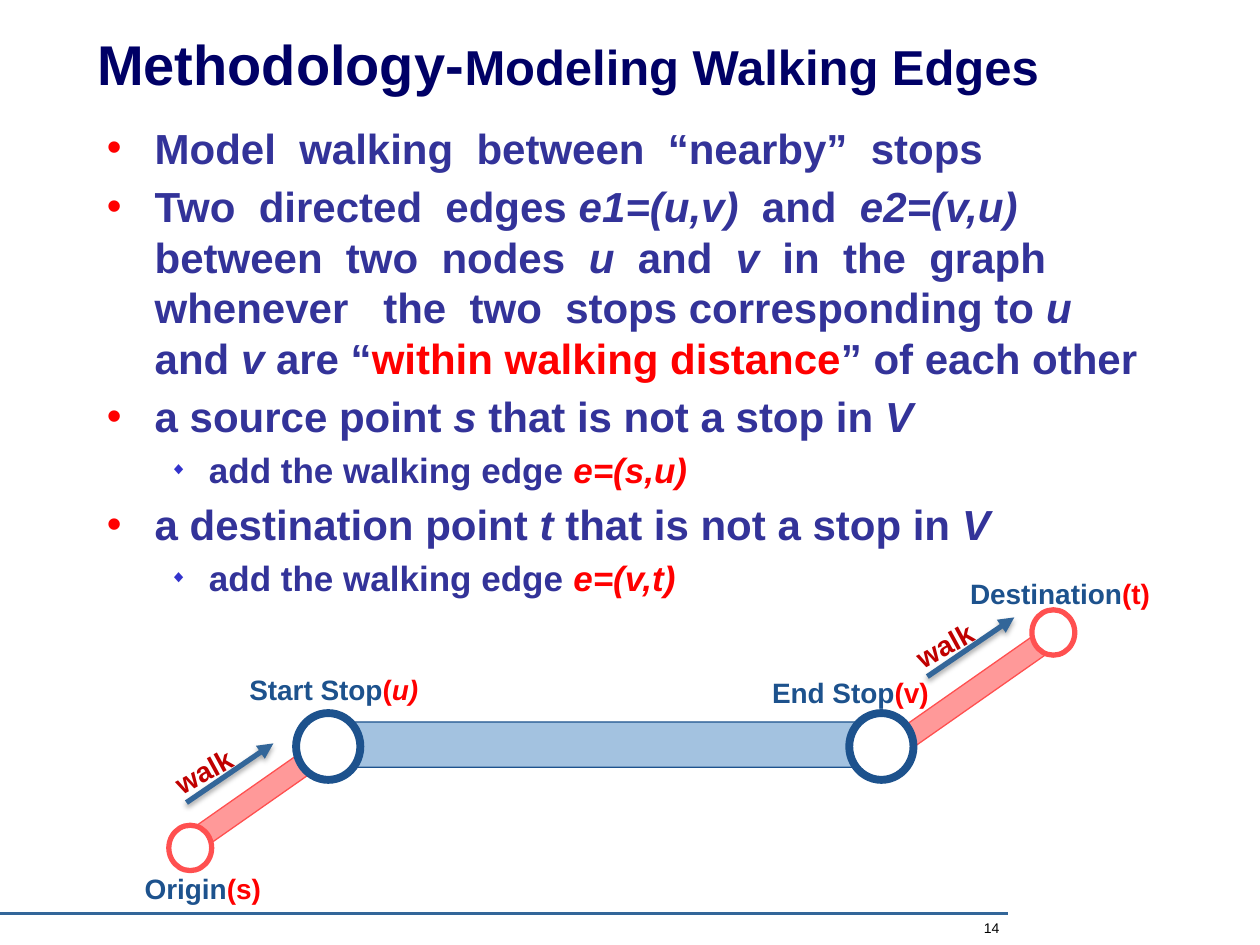
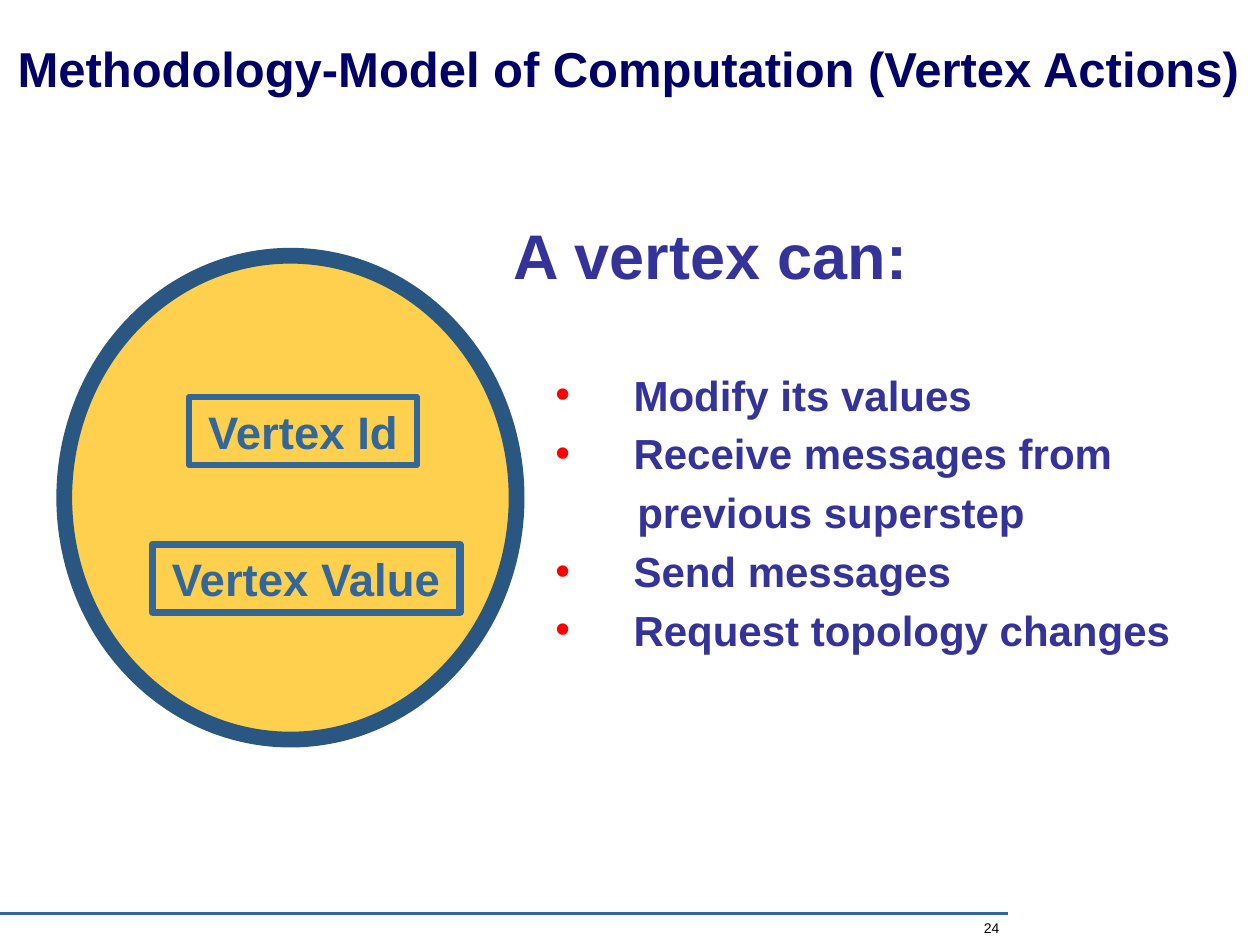
from lxml import etree
from pptx import Presentation
from pptx.dml.color import RGBColor
from pptx.enum.shapes import MSO_CONNECTOR, MSO_SHAPE
from pptx.enum.text import MSO_ANCHOR, MSO_AUTO_SIZE, PP_ALIGN
from pptx.oxml.ns import qn
from pptx.util import Pt

PX = 9144  # 100 px to the inch
FONT = "Arial"
TITLE_ONLY = 5
LEFT, CENTER = PP_ALIGN.LEFT, PP_ALIGN.CENTER
MIDDLE, TOP = MSO_ANCHOR.MIDDLE, MSO_ANCHOR.TOP
ELLIPSE, RECTANGLE = MSO_SHAPE.OVAL, MSO_SHAPE.RECTANGLE
ROUNDED = MSO_SHAPE.ROUNDED_RECTANGLE
STRAIGHT = MSO_CONNECTOR.STRAIGHT

COLORS = {
    "title": "000066", "body": "333399", "red": "FF0000", "diamond": "3333CC",
    "rule": "336699", "number": "000000", "white": "FFFFFF",
    "stop": "1D528D", "ride": "A3C2E0", "walk_fill": "FF9999",
    "walk_line": "FF5050", "walk_text": "C00000",
    "vertex_fill": "FFD04D", "vertex_line": "2A5682",
}
# Per level: left indent, bullet sign, bullet colour, bullet size in percent, text size
WALKING_LEVELS = [(38, 38, "•", "red", 100, 24), (81, 31, "◆", "diamond", 50, 20)]
ACTION_LEVELS = [(62, 62, "•", "red", 100, 24), (65, 0, None, None, 100, 24)]

# Runs are (text, marks): i is italic, r is red
WALKING_POINTS = [
    (0, [("Model  walking  between  “nearby”  stops", "")]),
    (0, [("Two  directed  edges ", ""), ("e1=(u,v)  ", "i"), ("and  ", ""),
         ("e2=(v,u)  ", "i"), ("between  two  nodes  ", ""), ("u  ", "i"),
         ("and  ", ""), ("v  ", "i"),
         ("in  the  graph  whenever   the  two  stops corresponding to ", ""),
         ("u ", "i"), ("and ", ""), ("v ", "i"), ("are “", ""),
         ("within walking distance", "r"), ("” of each other", "")]),
    (0, [("a source point ", ""), ("s ", "i"), ("that is not a stop in ", ""), ("V", "i")]),
    (1, [("add the walking edge ", ""), ("e=(s,u)", "ir")]),
    (0, [("a destination point ", ""), ("t ", "i"), ("that is not a stop in ", ""), ("V", "i")]),
    (1, [("add the walking edge ", ""), ("e=(v,t)", "ir")]),
]
VERTEX_ACTIONS = [
    (0, [("Modify its values", "")]),
    (0, [("Receive messages from", "")]),
    (1, [("previous superstep", "")]),
    (0, [("Send messages", "")]),
    (0, [("Request topology changes", "")]),
]


def rgb(name):
    return RGBColor.from_string(COLORS[name])


def emu(box):
    return [round(length * PX) for length in box]


def add_run(paragraph, text, size, color, bold=True, italic=False):
    run = paragraph.add_run()
    run.text = text
    font = run.font
    font.name, font.size, font.bold, font.italic = FONT, Pt(size), bold, italic
    font.color.rgb = rgb(color)


def add_marked_runs(paragraph, runs, size, color):
    for text, marks in runs:
        add_run(paragraph, text, size, "red" if "r" in marks else color, italic="i" in marks)


def add_text_box(slide, box):
    shape = slide.shapes.add_textbox(*emu(box))
    shape.text_frame.word_wrap = True
    return shape


def add_label(slide, box, runs, size=16, color="stop", rotation=0):
    shape = add_text_box(slide, box)
    shape.rotation = rotation
    add_marked_runs(shape.text_frame.paragraphs[0], runs, size, color)


def add_outlined(slide, kind, box, fill, line, width):
    shape = slide.shapes.add_shape(kind, *emu(box))
    shape.shadow.inherit = False
    if fill:
        shape.fill.solid()
        shape.fill.fore_color.rgb = rgb(fill)
    else:
        shape.fill.background()
    shape.line.color.rgb = rgb(line)
    shape.line.width = Pt(width)
    return shape


def add_bar(slide, box, fill, line, rotation=0):
    bar = add_outlined(slide, ROUNDED, box, fill, line, 0.75)
    bar.adjustments[0] = 0.5
    bar.rotation = rotation


def add_line(slide, ends, width):
    """Draw a straight line and return it with its empty effect list."""
    line = slide.shapes.add_connector(STRAIGHT, *emu(ends))
    line.line.color.rgb = rgb("rule")
    line.line.width = Pt(width)
    effects = etree.SubElement(line._element.spPr, qn("a:effectLst"))
    return line, effects


def add_arrow(slide, ends):
    arrow, effects = add_line(slide, ends, 3)
    etree.SubElement(arrow.line._get_or_add_ln(), qn("a:tailEnd"), type="triangle")
    shadow = etree.SubElement(effects, qn("a:outerShdw"), blurRad=str(Pt(3.1)),
                              dist=str(Pt(1.8)), dir="5400000", rotWithShape="0")
    black = etree.SubElement(shadow, qn("a:srgbClr"), val="000000")
    etree.SubElement(black, qn("a:alpha"), val="35000")


def set_bullet(paragraph, indent, hang, sign, color, percent):
    properties = paragraph._p.get_or_add_pPr()
    properties.set("marL", str(indent * PX))
    properties.set("indent", str(-hang * PX))
    if sign is None:
        etree.SubElement(properties, qn("a:buNone"))
        return
    bullet_color = etree.SubElement(properties, qn("a:buClr"))
    etree.SubElement(bullet_color, qn("a:srgbClr"), val=COLORS[color])
    etree.SubElement(properties, qn("a:buSzPct"), val=str(percent * 1000))
    etree.SubElement(properties, qn("a:buFont"), typeface=FONT)
    etree.SubElement(properties, qn("a:buChar"), char=sign)


def add_list(slide, box, points, levels):
    frame = add_text_box(slide, box).text_frame
    for index, (level, runs) in enumerate(points):
        paragraph = frame.add_paragraph() if index else frame.paragraphs[0]
        *bullet, size = levels[level]
        set_bullet(paragraph, *bullet)
        paragraph.space_before = Pt(0.2 * size if index else 0)
        add_marked_runs(paragraph, runs, size, "body")


def add_base_slide(presentation, title_box, title_runs, number):
    """Start a slide with its title, bottom rule and slide number."""
    slide = presentation.slides.add_slide(presentation.slide_layouts[TITLE_ONLY])
    title = slide.shapes.title
    title.left, title.top, title.width, title.height = emu(title_box)
    frame = title.text_frame
    frame.auto_size = MSO_AUTO_SIZE.NONE
    frame.word_wrap = True
    frame.vertical_anchor = MIDDLE
    paragraph = frame.paragraphs[0]
    paragraph.alignment = LEFT
    for text, size in title_runs:
        add_run(paragraph, text, size, "title")

    add_line(slide, (0, 725, 800, 725), 2.25)
    number_frame = add_text_box(slide, (683, 725, 208, 17)).text_frame
    number_frame.vertical_anchor = TOP
    paragraph = number_frame.paragraphs[0]
    paragraph.alignment = CENTER
    add_run(paragraph, number, 8, "number", bold=False)
    return slide


def add_walk_leg(slide, bar_left, bar_top, sign_left, sign_top):
    """Draw a slanted walking edge and the arrow sign beside it."""
    add_bar(slide, (bar_left, bar_top, 153, 18), "walk_fill", "walk_line", 325)
    add_label(slide, (sign_left, sign_top, 114, 75), [("walk", "")],
              color="walk_text", rotation=331.4)
    add_arrow(slide, (sign_left + 14, sign_top + 57, sign_left + 83, sign_top + 10))


def add_route(slide, left, top):
    """Draw the walk, ride and walk from origin to destination."""
    add_bar(slide, (left + 117, top + 120, 455, 36), "ride", "stop")
    add_walk_leg(slide, left, top + 166, left, top + 127)
    add_walk_leg(slide, left + 566, top + 84, left + 588, top + 27)
    for x in (101, 540):
        add_outlined(slide, ELLIPSE, (left + x, top + 113, 51, 53), "white", "stop", 4.5)
    for x, y in ((0, 202), (685, 31)):
        add_outlined(slide, ELLIPSE, (left + x, top + y, 34, 36), "white", "walk_line", 3)
    labels = [
        (-29, 234, 166, [("Origin", ""), ("(s)", "r")]),
        (54, 76, 179, [("Start Stop", ""), ("(", "r"), ("u)", "ir")]),
        (469, 78, 147, [("End Stop", ""), ("(v)", "r")]),
        (626, 0, 165, [("Destination", ""), ("(t)", "r")]),
    ]
    for x, y, width, runs in labels:
        add_label(slide, (left + x, top + y, width, 75), runs)


def add_vertex(slide, left, top):
    add_outlined(slide, ELLIPSE, (left, top, 359, 384), "vertex_fill", "vertex_line", 9)
    fields = [("Vertex Id", 99, 112, 181, 3.25), ("Vertex Value", 70, 229, 244, 4.25)]
    for text, x, y, width, line_width in fields:
        field = add_outlined(slide, RECTANGLE, (left + x, top + y, width, 54),
                             None, "rule", line_width)
        frame = field.text_frame
        frame.word_wrap = False
        frame.vertical_anchor = MIDDLE
        paragraph = frame.paragraphs[0]
        paragraph.alignment = CENTER
        add_run(paragraph, text, 26, "rule")


def build_walking_edges(presentation):
    slide = add_base_slide(presentation, (67, 25, 914, 50),
                           [("Methodology-", 32), ("Modeling Walking Edges", 28)], "14")
    add_list(slide, (75, 92, 850, 336), WALKING_POINTS, WALKING_LEVELS)
    add_route(slide, 134, 453)


def build_vertex_actions(presentation):
    slide = add_base_slide(presentation, (4, 29, 1004, 50),
                           [("Methodology-Model of Computation (Vertex Actions)", 28)], "24")
    add_vertex(slide, 51, 203)
    add_label(slide, (398, 167, 371, 71), [("A vertex can:", "")], 36, "body")
    add_list(slide, (431, 288, 534, 339), VERTEX_ACTIONS, ACTION_LEVELS)


def main():
    presentation = Presentation()
    presentation.slide_width, presentation.slide_height = emu((1000, 750))
    build_walking_edges(presentation)
    build_vertex_actions(presentation)
    presentation.save("out.pptx")


if __name__ == "__main__":
    main()
